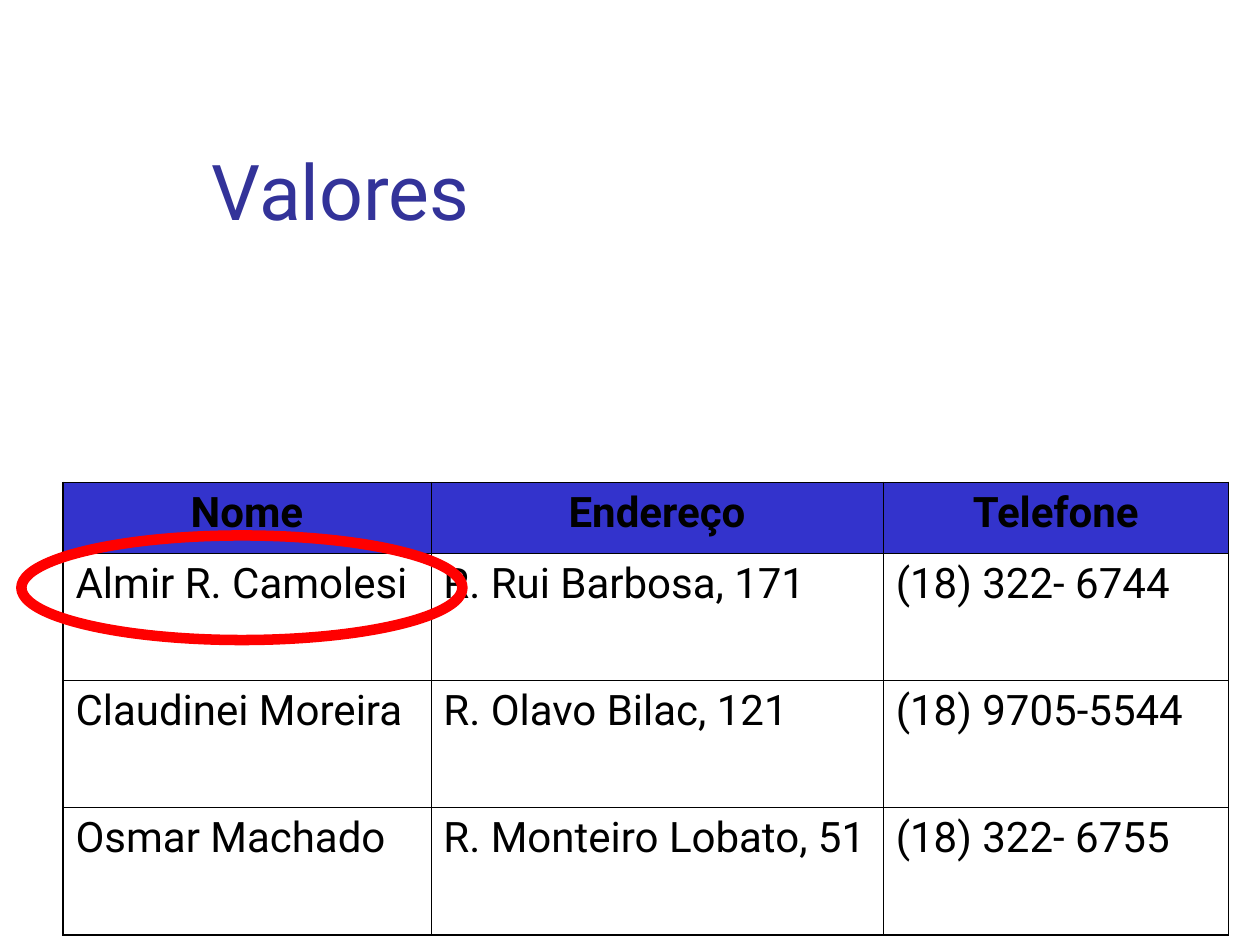
"""Build a slide with a contact table and one circled value."""
import lxml.etree
import pptx
import pptx.dml.color
import pptx.enum.shapes
import pptx.enum.text
import pptx.oxml.ns
import pptx.util

Inches, Pt = pptx.util.Inches, pptx.util.Pt
RGB = pptx.dml.color.RGBColor.from_string
ALIGN = pptx.enum.text.PP_ALIGN
qn = pptx.oxml.ns.qn

TITLE = "Valores"
ROWS = [
    ("Nome", "Endereço", "Telefone"),
    ("Almir R. Camolesi", "R. Rui Barbosa, 171", "(18) 322- 6744"),
    ("Claudinei Moreira", "R. Olavo Bilac, 121", "(18) 9705-5544"),
    ("Osmar Machado", "R. Monteiro Lobato, 51", "(18) 322- 6755"),
]
WIDTHS = (2.92, 3.59, 2.74)
HEIGHTS = (0.56, 1.01, 1.01, 1.01)
THEME = {
    "font": "Roboto", "title": 44, "body": 24, "ink": "000000",
    "head": "333399", "fill": "3333CC", "mark": "FF0000",
    "thick": 1.08, "thin": 0.45, "ring": 6,
}


def style(par, size, color, bold=False):
    for run in par.runs:
        font = run.font
        font.name, font.size, font.bold = THEME["font"], Pt(size), bold
        font.color.rgb = RGB(color)


def border(cell, outer):
    props = cell._tc.get_or_add_tcPr()
    for spot, side in enumerate("LRTB"):
        width = THEME["thick" if side in outer else "thin"]
        line = lxml.etree.Element(qn("a:ln" + side), w=str(Pt(width)))
        fill = lxml.etree.SubElement(line, qn("a:solidFill"))
        lxml.etree.SubElement(fill, qn("a:srgbClr"), val=THEME["ink"])
        props.insert(spot, line)


def add_title(slide):
    title = slide.shapes.title
    title.left, title.top = Inches(1.58), Inches(0.67)
    title.width, title.height = Inches(8.52), Inches(1.25)
    frame = title.text_frame
    frame.text = TITLE
    frame.auto_size = pptx.enum.text.MSO_AUTO_SIZE.NONE
    frame.vertical_anchor = pptx.enum.text.MSO_ANCHOR.BOTTOM
    par = frame.paragraphs[0]
    par.alignment = ALIGN.LEFT
    style(par, THEME["title"], THEME["head"])


def add_grid(slide):
    last, end = len(ROWS) - 1, len(WIDTHS) - 1
    grid = slide.shapes.add_table(
        len(ROWS), len(WIDTHS), Inches(0.5), Inches(3.83),
        Inches(sum(WIDTHS)), Inches(sum(HEIGHTS))).table
    for col, width in zip(grid.columns, WIDTHS):
        col.width = Inches(width)
    for row, height in zip(grid.rows, HEIGHTS):
        row.height = Inches(height)
    for r, texts in enumerate(ROWS):
        for c, text in enumerate(texts):
            cell, head = grid.cell(r, c), r == 0
            cell.text_frame.text = text
            par = cell.text_frame.paragraphs[0]
            par.alignment = ALIGN.CENTER if head else ALIGN.LEFT
            par.space_before = Pt(6)
            style(par, THEME["body"], THEME["ink"], head)
            if head:
                cell.fill.solid()
                cell.fill.fore_color.rgb = RGB(THEME["fill"])
            else:
                cell.fill.background()
            edges = {"L": c == 0, "R": c == end, "T": head, "B": r == last}
            border(cell, [side for side, on in edges.items() if on])


def add_ring(slide):
    ring = slide.shapes.add_shape(
        pptx.enum.shapes.MSO_SHAPE.OVAL,
        Inches(0.17), Inches(4.25), Inches(3.5), Inches(0.83))
    ring.shadow.inherit = False
    ring.fill.background()
    ring.line.color.rgb = RGB(THEME["mark"])
    ring.line.width = Pt(THEME["ring"])


def main():
    deck = pptx.Presentation()
    deck.slide_width, deck.slide_height = Inches(10), Inches(7.5)
    slide = deck.slides.add_slide(deck.slide_layouts[5])
    add_title(slide)
    add_grid(slide)
    add_ring(slide)
    deck.save("out.pptx")


if __name__ == "__main__":
    main()
